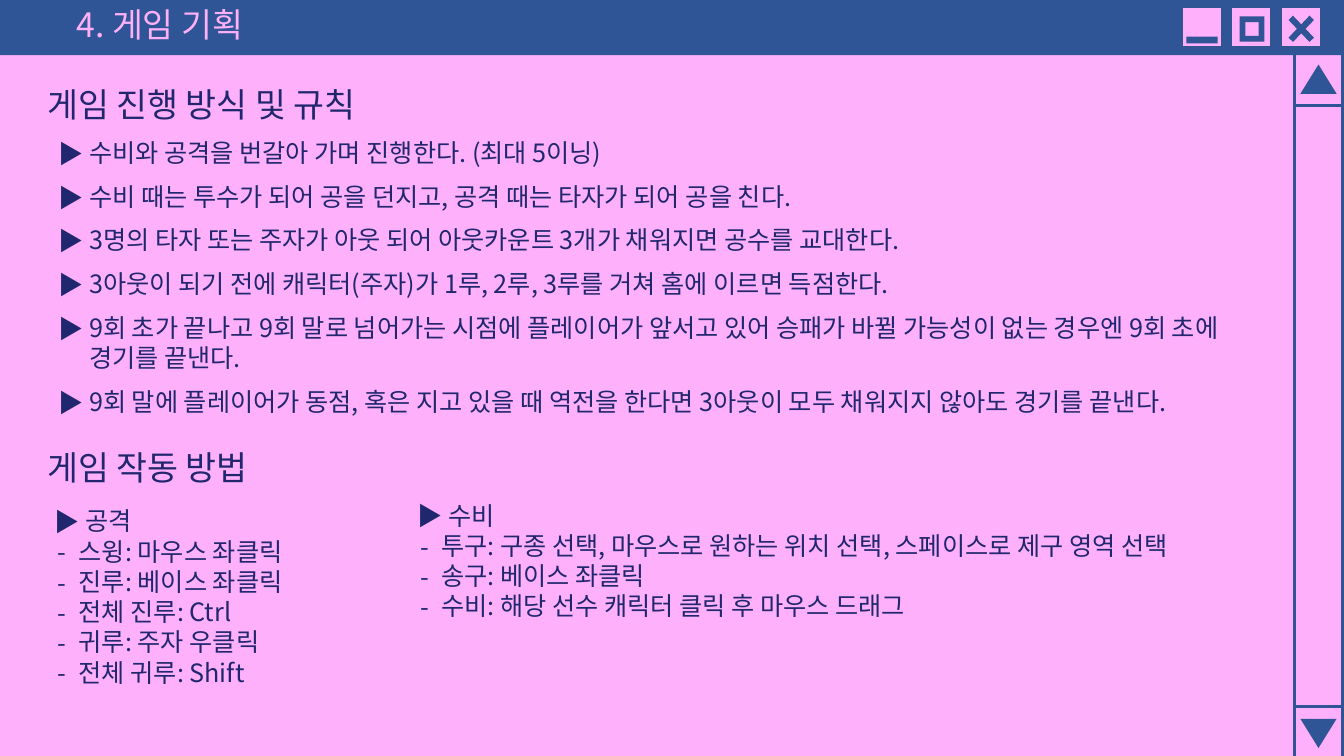
import dataclasses

import pptx
import pptx.dml.color
import pptx.enum.shapes
import pptx.enum.text
import pptx.oxml.ns
import pptx.util
from lxml import etree

Pt = pptx.util.Pt
SHAPE = pptx.enum.shapes.MSO_SHAPE


@dataclasses.dataclass(frozen=True)
class Theme:
    """Colours, font and type sizes of the slide."""
    pink: str = "FEB0FA"
    blue: str = "2F5597"
    button_edge: str = "325491"
    ink: str = "20276E"
    font: str = "Noto Sans CJK KR"
    heading: int = 24
    body: int = 18


@dataclasses.dataclass(frozen=True)
class Level:
    """Bullet, indents and spacing of one kind of paragraph."""
    size: int
    bullet: str = ""
    margin: float = 0
    hanging: float = 0
    before: float = 0


THEME = Theme()
HEADING = Level(THEME.heading)
LATER_HEADING = Level(THEME.heading, before=21.8)
RULE = Level(THEME.body, "▶", 30, 22, 9.6)
ROLE = Level(THEME.body, "▶", 27.5, 22)
LATER_ROLE = dataclasses.replace(ROLE, before=13.2)
CONTROL = Level(THEME.body, "-", 22.5, 15)

RULES = [
    "수비와 공격을 번갈아 가며 진행한다. (최대 5이닝)",
    "수비 때는 투수가 되어 공을 던지고, 공격 때는 타자가 되어 공을 친다.",
    "3명의 타자 또는 주자가 아웃 되어 아웃카운트 3개가 채워지면 공수를 교대한다.",
    "3아웃이 되기 전에 캐릭터(주자)가 1루, 2루, 3루를 거쳐 홈에 이르면 득점한다.",
    "9회 초가 끝나고 9회 말로 넘어가는 시점에 플레이어가 앞서고 있어 "
    "승패가 바뀔 가능성이 없는 경우엔 9회 초에\v경기를 끝낸다.",
    "9회 말에 플레이어가 동점, 혹은 지고 있을 때 역전을 한다면 "
    "3아웃이 모두 채워지지 않아도 경기를 끝낸다.",
]
OFFENSE = ["스윙: 마우스 좌클릭", "진루: 베이스 좌클릭", "전체 진루: Ctrl",
           "귀루: 주자 우클릭", "전체 귀루: Shift"]
DEFENSE = ["투구: 구종 선택, 마우스로 원하는 위치 선택, 스페이스로 제구 영역 선택",
           "송구: 베이스 좌클릭",
           "수비: 해당 선수 캐릭터 클릭 후 마우스 드래그"]


def rgb(value):
    """Return a colour object for a hex value."""
    return pptx.dml.color.RGBColor.from_string(value)


def draw(slide, kind, box, fill=None, edge=None, edge_width=1.0):
    """Add a flat preset shape in the box of left, top, width, height."""
    figure = slide.shapes.add_shape(kind, *map(Pt, box))
    figure.shadow.inherit = False
    if fill:
        figure.fill.solid()
        figure.fill.fore_color.rgb = rgb(fill)
    else:
        figure.fill.background()
    if edge:
        figure.line.color.rgb = rgb(edge)
        figure.line.width = Pt(edge_width)
    else:
        figure.line.fill.background()
    return figure


def style_runs(paragraph, size, colour):
    """Set font, size and colour on every run of the paragraph."""
    for run in paragraph.runs:
        run.font.name = THEME.font
        run.font.size = Pt(size)
        run.font.color.rgb = rgb(colour)
        east_asian = etree.SubElement(run.font._element, pptx.oxml.ns.qn("a:ea"))
        east_asian.set("typeface", THEME.font)


def apply_level(paragraph, level):
    """Give the paragraph the spacing, indents and bullet of its level."""
    paragraph.space_before = Pt(level.before)
    if level.bullet:
        properties = paragraph._p.get_or_add_pPr()
        properties.set("marL", str(int(Pt(level.margin))))
        properties.set("indent", str(-int(Pt(level.hanging))))
        font = etree.SubElement(properties, pptx.oxml.ns.qn("a:buFont"))
        font.set("typeface", THEME.font)
        bullet = etree.SubElement(properties, pptx.oxml.ns.qn("a:buChar"))
        bullet.set("char", level.bullet)


def write_outline(slide, box, outline):
    """Write pairs of level and text into a wrapping text box."""
    frame = slide.shapes.add_textbox(*map(Pt, box)).text_frame
    frame.word_wrap = True
    for index, (level, text) in enumerate(outline):
        paragraph = frame.add_paragraph() if index else frame.paragraphs[0]
        paragraph.text = text
        apply_level(paragraph, level)
        style_runs(paragraph, level.size, THEME.ink)


def title_bar(slide, box, text):
    """Draw the window's top bar with its title and three buttons."""
    left, top, width, height = box
    draw(slide, SHAPE.RECTANGLE, box, THEME.blue)

    title = slide.shapes.title
    slide.shapes._spTree.append(title._element)
    title.left, title.top = Pt(left + 47.5), Pt(top)
    title.width, title.height = Pt(160), Pt(36)
    frame = title.text_frame
    frame.text = text
    frame.word_wrap = False
    frame.auto_size = pptx.enum.text.MSO_AUTO_SIZE.NONE
    frame.vertical_anchor = pptx.enum.text.MSO_ANCHOR.TOP
    frame.paragraphs[0].alignment = pptx.enum.text.PP_ALIGN.LEFT
    style_runs(frame.paragraphs[0], THEME.heading, THEME.pink)

    side, pitch = 28, 35.25
    minimise, maximise, close = (left + width - 115.4 + pitch * i for i in range(3))
    button_top = top + 6
    for button in (minimise, maximise, close):
        draw(slide, SHAPE.RECTANGLE, (button, button_top, side, side),
             THEME.pink, THEME.button_edge)
    draw(slide, SHAPE.RECTANGLE, (minimise + 2.8, button_top + 20.6, 22.3, 5), THEME.blue)
    square = draw(slide, SHAPE.FRAME, (maximise + 5.6, button_top + 6.2, 17.6, 18), THEME.blue)
    square.adjustments[0] = 0.23
    cross = draw(slide, SHAPE.MATH_MULTIPLY, (close, button_top, 28.8, 30.2), THEME.blue)
    cross.adjustments[0] = 0.153


def scroll_bar(slide, box):
    """Draw the scroll track with an arrow cell at each end."""
    left, top, width, height = box
    cell = 39.6
    for track_top, track_height in ((top, 468.7), (top + cell, height - cell)):
        draw(slide, SHAPE.RECTANGLE, (left, track_top, width, track_height),
             edge=THEME.blue, edge_width=2.25)
    arrow_width, arrow_height = 25.9, 20.9
    for arrow_top, turn in ((top + 10.1, 0), (top + 477.4, 180)):
        arrow = draw(slide, SHAPE.ISOSCELES_TRIANGLE,
                     (left + (width - arrow_width) / 2, arrow_top, arrow_width, arrow_height),
                     THEME.blue)
        arrow.rotation = turn


def game_plan_slide(deck):
    """Build the game planning slide."""
    slide = deck.slides.add_slide(deck.slide_layouts.get_by_name("Title Only"))
    slide.background.fill.solid()
    slide.background.fill.fore_color.rgb = rgb(THEME.pink)
    title_bar(slide, (0, -0.5, 960, 40), "4. 게임 기획")
    scroll_bar(slide, (924.5, 36, 34.6, 514.8))
    write_outline(slide, (26.6, 56.2, 877, 479.5), [
        (HEADING, "게임 진행 방식 및 규칙"),
        *((RULE, rule) for rule in RULES),
        (LATER_HEADING, "게임 작동 방법"),
        (LATER_ROLE, "공격"),
        *((CONTROL, control) for control in OFFENSE),
    ])
    write_outline(slide, (285.5, 353.5, 689, 94.3), [
        (ROLE, "수비"),
        *((CONTROL, control) for control in DEFENSE),
    ])


def main():
    """Create the deck and save it."""
    deck = pptx.Presentation()
    deck.slide_width, deck.slide_height = Pt(960), Pt(540)
    game_plan_slide(deck)
    deck.save("out.pptx")


if __name__ == "__main__":
    main()
